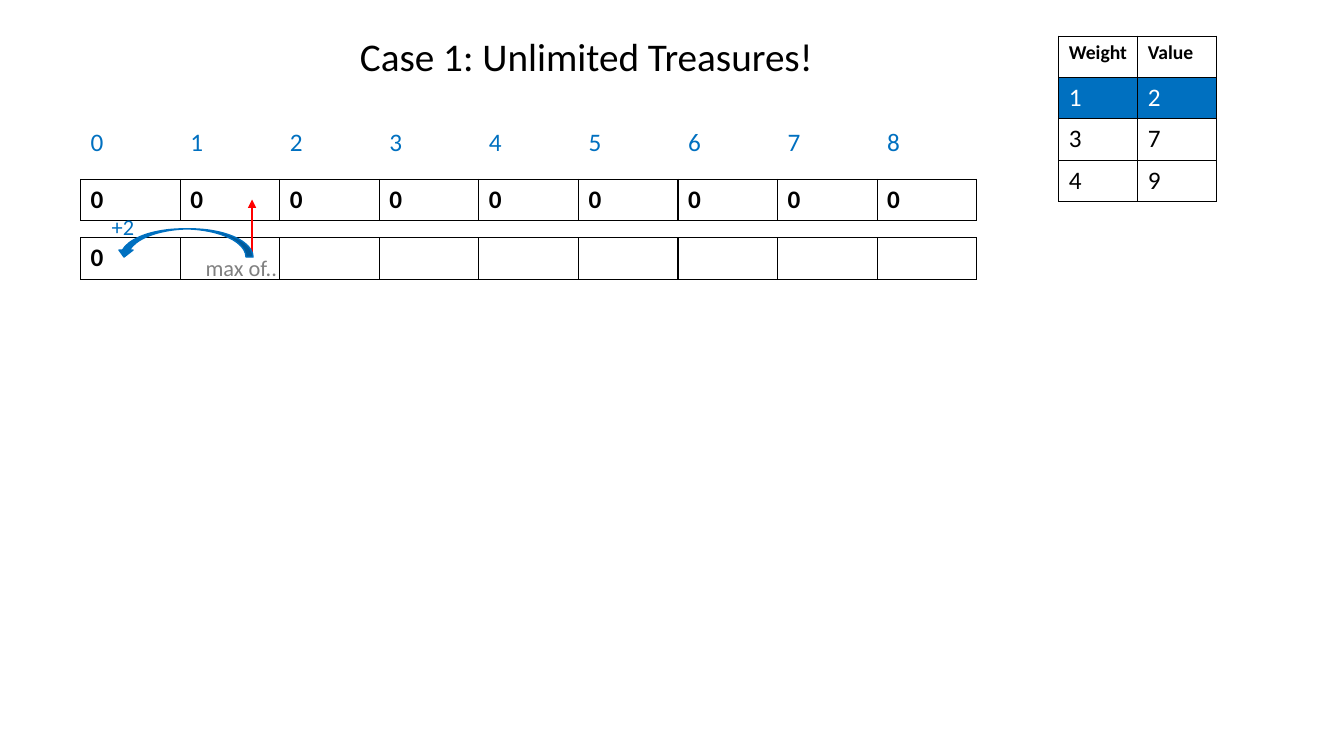
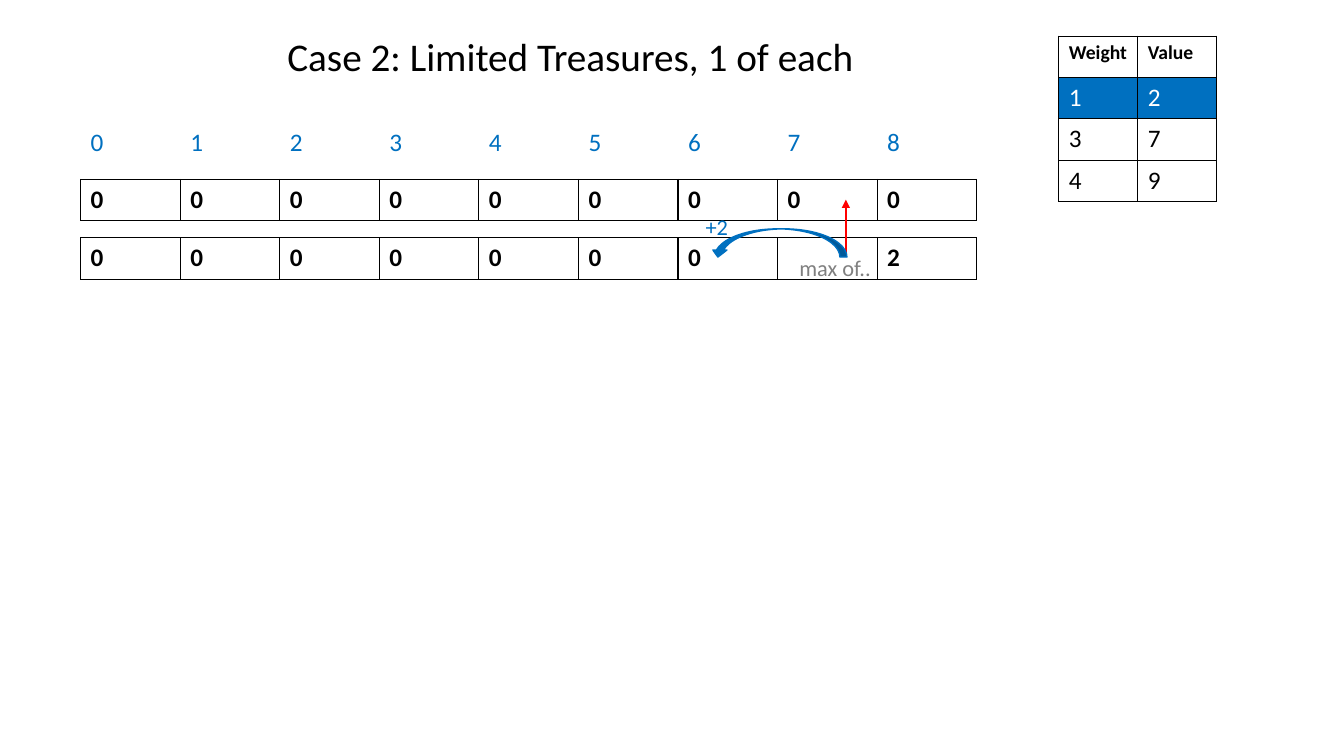
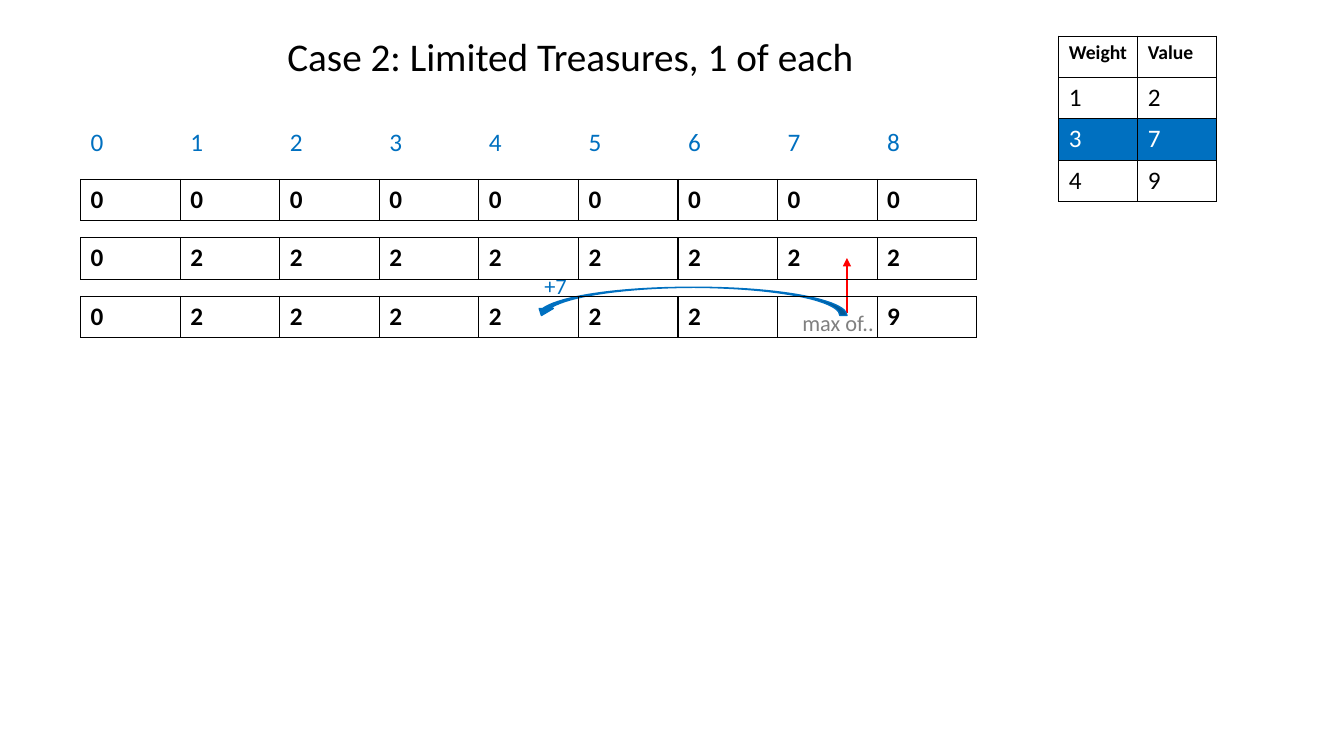
"""Build three knapsack table slides with python-pptx."""
from lxml.etree import SubElement
from pptx import Presentation
from pptx.dml.color import RGBColor
from pptx.enum.shapes import MSO_CONNECTOR, MSO_SHAPE
from pptx.enum.text import MSO_ANCHOR, MSO_AUTO_SIZE, PP_ALIGN
from pptx.oxml import parse_xml
from pptx.oxml.ns import nsdecls, qn
from pptx.util import Inches, Pt

BLACK = RGBColor(0x00, 0x00, 0x00)
WHITE = RGBColor(0xFF, 0xFF, 0xFF)
BLUE = RGBColor(0x00, 0x70, 0xC0)
GRAY = RGBColor(0x80, 0x80, 0x80)
RED = RGBColor(0xFF, 0x00, 0x00)

TITLE = {"name": "Calibri", "size": Pt(28), "bold": False}
NOTE = {"name": "Calibri", "size": Pt(16), "bold": False}
BODY = {"name": "Calibri", "size": Pt(18), "bold": False}
BOLD = {"name": "Calibri", "size": Pt(18), "bold": True}
HEADER = {"name": "Calibri", "size": Pt(14), "bold": True}

ROW_H = 0.41
GRID_LEFT, GRID_W = 0.8, 8.89
INDEX_TOP, FIRST_TOP, PITCH = 1.21, 1.78, 0.58
TREASURES = [("Weight", "Value"), ("1", "2"), ("3", "7"), ("4", "9")]
BORDER = (
    '<a:{} %s w="12700"><a:solidFill><a:srgbClr val="{}"/></a:solidFill></a:{}>'
    % nsdecls("a")
)

SLIDES = [
    {"title": "Case 1: Unlimited Treasures!", "title_x": 3.47, "title_w": 4.74,
     "rows": ["000000000", "0        "], "item": 1, "gain": "+2", "gain_x": 1.01,
     "arc_x": 1.16, "arc_w": 1.35, "up_x": 2.5, "max_x": 1.94, "max_dy": 0.11,
     "on_top": True},
    {"title": "Case 2: Limited Treasures, 1 of each", "title_x": 2.75, "title_w": 5.88,
     "rows": ["000000000", "0000000 2"], "item": 1, "gain": "+2", "gain_x": 6.9,
     "arc_x": 7.05, "arc_w": 1.35, "up_x": 8.39, "max_x": 7.83, "max_dy": 0.11,
     "on_top": True},
    {"title": "Case 2: Limited Treasures, 1 of each", "title_x": 2.75, "title_w": 5.88,
     "rows": ["000000000", "022222222", "0222222 9"], "item": 2, "gain": "+7",
     "gain_x": 5.3, "arc_x": 5.3, "arc_w": 3.1, "up_x": 8.4, "max_x": 7.86,
     "max_dy": 0.08, "on_top": False},
]


def write(tf, text, fmt, color):
    p = tf.paragraphs[0]
    p.alignment = PP_ALIGN.LEFT
    r = p.add_run()
    r.text = text
    for key, value in fmt.items():
        setattr(r.font, key, value)
    r.font.color.rgb = color


def add_grid(s, left, top, width, rows, fmt, color=BLACK, border=True, active=None):
    n = len(rows[0])
    tbl = s.shapes.add_table(len(rows), n, Inches(left), Inches(top),
                             Inches(width), Inches(ROW_H * len(rows))).table
    tbl.first_row = tbl.horz_banding = False
    for col in tbl.columns:
        col.width = Inches(width / n)
    for i, row in enumerate(rows):
        for j, text in enumerate(row):
            cell = tbl.cell(i, j)
            if border:
                tcPr = cell._tc.get_or_add_tcPr()
                for tag in ("lnL", "lnR", "lnT", "lnB"):
                    tcPr.append(parse_xml(BORDER.format(tag, BLACK, tag)))
            if i == active:
                cell.fill.solid()
                cell.fill.fore_color.rgb = BLUE
            else:
                cell.fill.background()
            if text.strip():
                cell_fmt = HEADER if text.isalpha() else fmt
                write(cell.text_frame, text, cell_fmt, WHITE if i == active else color)


prs = Presentation()
prs.slide_width, prs.slide_height = Inches(13.33), Inches(7.5)

for d in SLIDES:
    s = prs.slides.add_slide(prs.slide_layouts[5])
    sp = s.shapes.title
    sp.left, sp.top = Inches(d["title_x"]), Inches(0.27)
    sp.width, sp.height = Inches(d["title_w"]), Inches(0.57)
    tf = sp.text_frame
    tf.word_wrap = False
    tf.vertical_anchor = MSO_ANCHOR.TOP
    tf.auto_size = MSO_AUTO_SIZE.SHAPE_TO_FIT_TEXT
    write(tf, d["title"], TITLE, BLACK)

    grp = s.shapes.add_group_shape()
    add_grid(s, GRID_LEFT, INDEX_TOP, GRID_W, ["012345678"], BODY, BLUE, border=False)
    for i, row in enumerate(d["rows"]):
        top = FIRST_TOP + i * PITCH
        add_grid(s, GRID_LEFT, top, GRID_W, [row], BOLD)
    add_grid(s, 10.5, 0.36, 1.57, TREASURES, BODY, active=d["item"])

    line = grp.shapes.add_connector(
        MSO_CONNECTOR.STRAIGHT, Inches(d["up_x"]), Inches(top + 0.17),
        Inches(d["up_x"]), Inches(top - 0.38))
    line.line.color.rgb = RED
    line.line.width = Pt(1)
    SubElement(line.line._get_or_add_ln(), qn("a:tailEnd"), type="triangle")
    SubElement(line._element.spPr, qn("a:effectLst"))

    for text, x, y, w, color in [
        (d["gain"], d["gain_x"], top - 0.29, 0.43, BLUE),
        ("max of..", d["max_x"], top + d["max_dy"], 0.92, GRAY),
    ]:
        tf = grp.shapes.add_textbox(Inches(x), Inches(y), Inches(w), Inches(0.37)).text_frame
        tf.word_wrap = False
        tf.auto_size = MSO_AUTO_SIZE.SHAPE_TO_FIT_TEXT
        write(tf, text, NOTE, color)

    arc = grp.shapes.add_shape(MSO_SHAPE.CURVED_UP_ARROW, Inches(d["arc_x"]),
                               Inches(top - 0.09), Inches(d["arc_w"]), Inches(0.28))
    arc.rotation = 180
    arc.shadow.inherit = False
    arc.fill.solid()
    arc.fill.fore_color.rgb = BLUE
    arc.line.color.rgb = BLUE
    arc.line.width = Pt(1)
    if d["on_top"]:
        s.shapes.element.append(grp.element)

prs.save("out.pptx")
